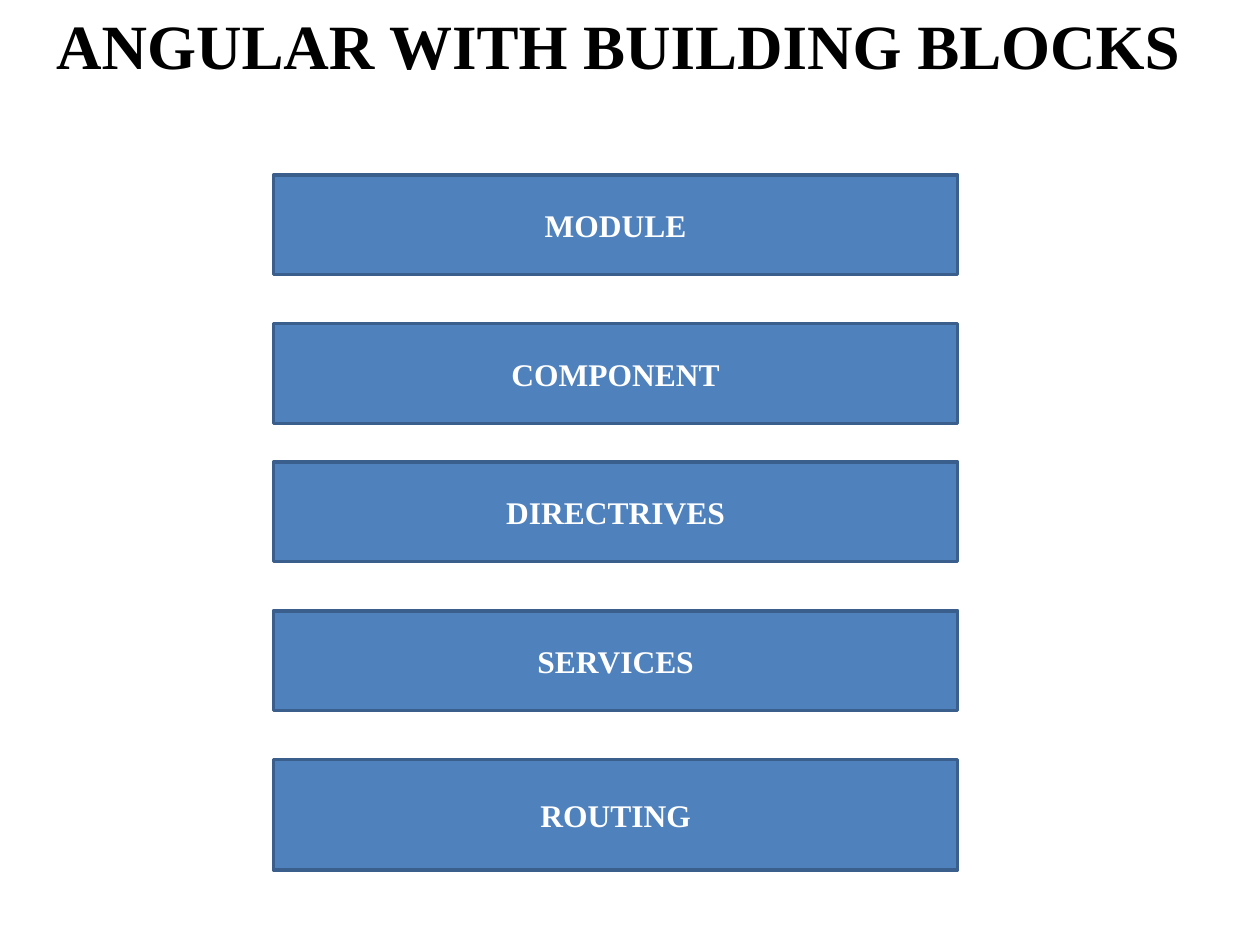
from dataclasses import dataclass

from pptx import Presentation
from pptx.dml.color import RGBColor
from pptx.enum.shapes import MSO_SHAPE
from pptx.enum.text import MSO_ANCHOR, MSO_AUTO_SIZE, PP_ALIGN
from pptx.util import Pt


@dataclass(frozen=True)
class Theme:
    font: str = "Times New Roman"
    title_size: int = 36
    block_size: int = 18
    title_color: RGBColor = RGBColor(0x00, 0x00, 0x00)
    block_text: RGBColor = RGBColor(0xFF, 0xFF, 0xFF)
    block_fill: RGBColor = RGBColor(0x4F, 0x81, 0xBD)
    block_line: RGBColor = RGBColor(0x3A, 0x5F, 0x8C)


THEME = Theme()

BLOCK_LEFT, BLOCK_WIDTH = 156.3, 391
# label, top, height
BLOCKS = [
    ("MODULE", 100, 57),
    ("COMPONENT", 185, 57),
    ("DIRECTRIVES", 264, 57),
    ("SERVICES", 349, 57),
    ("ROUTING", 434, 63),
]


def add_bold_run(p, text, size, color):
    r = p.add_run()
    r.text = text
    r.font.name = THEME.font
    r.font.size = Pt(size)
    r.font.bold = True
    r.font.color.rgb = color


def add_title(s, text):
    sp = s.shapes.add_textbox(Pt(25), Pt(0), Pt(734.4), Pt(51))
    tf = sp.text_frame
    tf.word_wrap = True
    tf.auto_size = MSO_AUTO_SIZE.SHAPE_TO_FIT_TEXT
    add_bold_run(tf.paragraphs[0], text, THEME.title_size, THEME.title_color)


def add_block(s, label, top, height):
    sp = s.shapes.add_shape(MSO_SHAPE.RECTANGLE, Pt(BLOCK_LEFT), Pt(top),
                            Pt(BLOCK_WIDTH), Pt(height))
    sp.shadow.inherit = False
    sp.fill.solid()
    sp.fill.fore_color.rgb = THEME.block_fill
    sp.line.color.rgb = THEME.block_line
    sp.line.width = Pt(2)
    tf = sp.text_frame
    tf.word_wrap = True
    tf.vertical_anchor = MSO_ANCHOR.MIDDLE
    p = tf.paragraphs[0]
    p.alignment = PP_ALIGN.CENTER
    add_bold_run(p, label, THEME.block_size, THEME.block_text)


def main():
    prs = Presentation()
    prs.slide_width, prs.slide_height = Pt(720), Pt(540)
    s = prs.slides.add_slide(prs.slide_layouts[6])
    add_title(s, "ANGULAR WITH BUILDING BLOCKS")
    for label, top, height in BLOCKS:
        add_block(s, label, top, height)
    prs.save("out.pptx")


if __name__ == "__main__":
    main()
